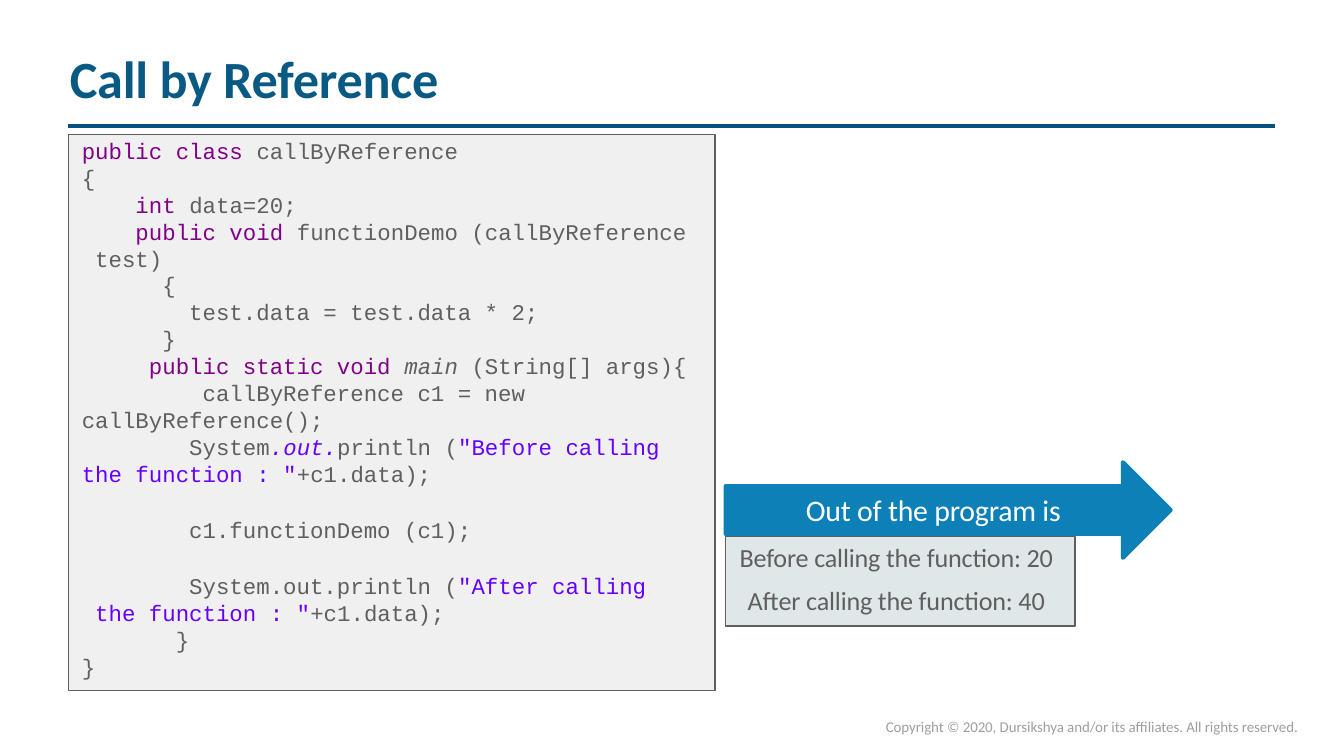
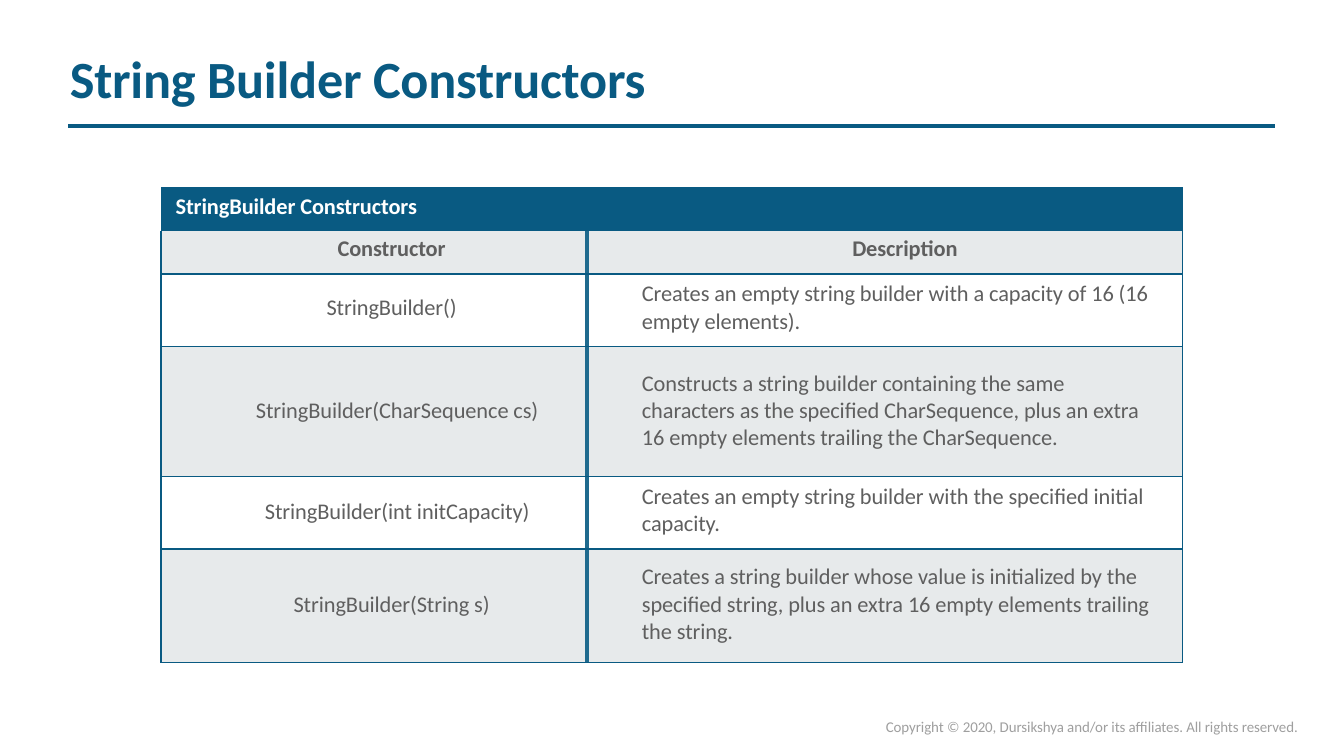
from copy import deepcopy

from lxml import etree
from pptx import Presentation
from pptx.dml.color import RGBColor
from pptx.enum import shapes, text
from pptx.oxml import ns
from pptx.util import Pt

NAVY = RGBColor(0x09, 0x5A, 0x82)
DEEP_NAVY = RGBColor(0x04, 0x51, 0x80)
DIVIDER = RGBColor(0x1F, 0x6A, 0x8E)
BLUE = RGBColor(0x0D, 0x80, 0xB8)
GRAY = RGBColor(0x5F, 0x5F, 0x5F)
FOOTER_GRAY = RGBColor(0x9F, 0x9F, 0x9F)
CODE_FILL = RGBColor(0xF0, 0xF0, 0xF0)
OUTPUT_FILL = RGBColor(0xDF, 0xE7, 0xE9)
BAND = RGBColor(0xE7, 0xEA, 0xEB)
WHITE = RGBColor(0xFF, 0xFF, 0xFF)
PURPLE = RGBColor(0x81, 0x00, 0x87)
VIOLET = RGBColor(0x66, 0x00, 0xFF)

CENTER = text.PP_ALIGN.CENTER
MIDDLE = text.MSO_ANCHOR.MIDDLE
NO_GRID = "{2D5ABB26-0587-4C30-8999-92F81FD0307C}"

COPYRIGHT = "Copyright © 2020, Dursikshya and/or its affiliates. All rights reserved."

KEYWORD = {"color": PURPLE}
STRING = {"color": VIOLET}
FIELD = {"color": VIOLET, "italic": True}
METHOD = {"italic": True}
PLAIN = {}

CODE = [
    [("public class ", KEYWORD), ("callByReference", PLAIN)],
    "{",
    [("    int ", KEYWORD), ("data=20;", PLAIN)],
    [("    public void ", KEYWORD), ("functionDemo (callByReference", PLAIN)],
    " test)",
    "      {",
    "        test.data = test.data * 2;",
    "      }",
    [("     public static void ", KEYWORD), ("main ", METHOD), ("(String[] args){", PLAIN)],
    "         callByReference c1 = new",
    "callByReference();",
    [("        System", PLAIN), (".out.", FIELD), ("println (", PLAIN),
     ('"Before calling', STRING)],
    [('the function : "', STRING), ("+c1.data);", PLAIN)],
    "",
    "        c1.functionDemo (c1);",
    "",
    [("        System.out.println (", PLAIN), ('"After calling', STRING)],
    [(' the function : "', STRING), ("+c1.data);", PLAIN)],
    "       }",
    "}",
]
ARROW_LABEL = "Out of the program is"
OUTPUT = ["Before calling the function: 20", "After calling the function: 40"]

TABLE_TITLE = "StringBuilder Constructors"
TABLE_HEADS = ["Constructor", "Description"]
CONSTRUCTORS = [
    {"name": "StringBuilder()", "inset": (19, 11),
     "about": "Creates an empty string builder with a capacity of 16 (16\nempty elements).",
     "about_top": 3.6, "height": 38.9},
    {"name": "StringBuilder(CharSequence cs)", "inset": (25, 27.4),
     "about": "Constructs a string builder containing the same\n"
              "characters as the specified CharSequence, plus an extra\n"
              "16 empty elements trailing the CharSequence.",
     "about_top": 12.7, "height": 69.8},
    {"name": "StringBuilder(int initCapacity)", "inset": (25, 11.6),
     "about": "Creates an empty string builder with the specified initial\ncapacity.",
     "about_top": 3.6, "height": 38.8},
    {"name": "StringBuilder(String s)", "inset": (19, 22.7),
     "about": "Creates a string builder whose value is initialized by the\n"
              "specified string, plus an extra 16 empty elements trailing\n"
              "the string.",
     "about_top": 7.9, "height": 61},
]
COLUMNS = [228.2, 319.2]
HEAD_HEIGHTS = [23.3, 23]


def write(holder, paragraphs, size, color, font="Calibri", bold=False, align=text.PP_ALIGN.LEFT,
          anchor=text.MSO_ANCHOR.TOP, inset=(0, 0, 0, 0), line=None, between=0, blank=0,
          tracking=-0.05, wrap=True):
    frame = holder.text_frame
    in_shape = hasattr(holder, "shape_type")
    edges = frame if in_shape else holder
    edges.margin_left, edges.margin_top, edges.margin_right, edges.margin_bottom = map(Pt, inset)
    edges.vertical_anchor = anchor
    if in_shape:
        frame.word_wrap = wrap
        frame.auto_size = text.MSO_AUTO_SIZE.NONE
    paragraph, gap = None, 0
    for content in paragraphs:
        if not content:
            gap = blank
            continue
        paragraph = frame.add_paragraph() if paragraph else frame.paragraphs[0]
        paragraph.alignment = align
        paragraph.space_before = Pt(gap)
        gap = between
        if line:
            paragraph.line_spacing = Pt(line)
        for words, style in [(content, PLAIN)] if isinstance(content, str) else content:
            for number, part in enumerate(words.split("\n")):
                if number:
                    paragraph.add_line_break()
                    paragraph._p[-1].append(deepcopy(run._r.rPr))
                run = paragraph.add_run()
                run.text = part
                run.font.name = font
                run.font.size = Pt(size)
                run.font.bold = bold
                run.font.italic = style.get("italic", False)
                run.font.color.rgb = style.get("color", color)
                run._r.get_or_add_rPr().set("spc", str(round(tracking * 100)))


def add_block(slide, kind, box, fill, line, width):
    block = slide.shapes.add_shape(kind, *map(Pt, box))
    block.shadow.inherit = False
    block.fill.solid()
    block.fill.fore_color.rgb = fill
    block.line.color.rgb = line
    block.line.width = Pt(width)
    return block


def add_slide(deck, heading, heading_width, rule_color):
    slide = deck.slides.add_slide(deck.slide_layouts[5])
    rule = slide.shapes.add_connector(shapes.MSO_CONNECTOR.STRAIGHT,
                                      Pt(36.7), Pt(67.5), Pt(683.3), Pt(67.5))
    rule.line.color.rgb = rule_color
    rule.line.width = Pt(2.28)
    etree.SubElement(rule._element.spPr, ns.qn("a:effectLst"))
    title = slide.shapes.title
    title.left, title.top, title.width, title.height = map(Pt, (36.7, 23.8, heading_width, 35.3))
    write(title, [heading], 28, NAVY, bold=True, inset=(0.7, 0.9, 0, 0), tracking=-0.1, wrap=False)
    footer = slide.shapes.add_textbox(Pt(473.8), Pt(385.2), Pt(231.1), Pt(10))
    write(footer, [COPYRIGHT], 8, FOOTER_GRAY, inset=(0.7, 0, 0, 0), line=8.7, wrap=False)
    return slide


def add_borders(cell, sides):
    properties = cell._tc.get_or_add_tcPr()
    for side, (color, width) in sides.items():
        edge = etree.SubElement(properties, ns.qn(f"a:ln{side}"), w=str(Pt(width)))
        fill = etree.SubElement(edge, ns.qn("a:solidFill"))
        etree.SubElement(fill, ns.qn("a:srgbClr"), val=str(color))


def fill_cell(cell, color):
    if color is None:
        cell.fill.background()
    else:
        cell.fill.solid()
        cell.fill.fore_color.rgb = color


def build_reference(deck):
    slide = add_slide(deck, "Call by Reference", 202.3, DEEP_NAVY)
    code = add_block(slide, shapes.MSO_SHAPE.RECTANGLE, (36.7, 72, 346.3, 298.1),
                     CODE_FILL, GRAY, 0.72)
    write(code, CODE, 12, GRAY, font="Courier New", inset=(7.2, 1.5, 0, 0),
          line=14.4, blank=15.8, tracking=0)
    output = add_block(slide, shapes.MSO_SHAPE.RECTANGLE, (388.8, 287.3, 187.2, 48.2),
                       OUTPUT_FILL, GRAY, 0.72)
    write(output, OUTPUT, 14, GRAY, align=CENTER, inset=(0, 2.5, 4.5, 0), between=6.6,
          tracking=-0.1)
    arrow = add_block(slide, shapes.MSO_SHAPE.RIGHT_ARROW, (388.8, 247.7, 238.3, 51.1),
                      BLUE, BLUE, 2.28)
    write(arrow, [ARROW_LABEL], 16, WHITE, align=CENTER, anchor=MIDDLE, inset=(0, 0, 3, 1),
          tracking=-0.1)


def build_constructors(deck):
    slide = add_slide(deck, "String Builder Constructors", 313.9, NAVY)
    heights = HEAD_HEIGHTS + [row["height"] for row in CONSTRUCTORS]
    frame = slide.shapes.add_table(len(heights), len(COLUMNS), Pt(86.2), Pt(100.4),
                                   Pt(sum(COLUMNS)), Pt(sum(heights)))
    grid = frame.table
    grid.first_row = grid.horz_banding = False
    grid._tbl.tblPr.find(ns.qn("a:tableStyleId")).text = NO_GRID
    for column, width in zip(grid.columns, COLUMNS):
        column.width = Pt(width)
    for row, height in zip(grid.rows, heights):
        row.height = Pt(height)

    banner = grid.cell(0, 0)
    banner.merge(grid.cell(0, 1))
    fill_cell(banner, NAVY)
    write(banner, [TABLE_TITLE], 12, WHITE, bold=True, inset=(7.9, 2.9, 0, 0))

    outer, middle = (NAVY, 0.75), (DIVIDER, 2.25)
    last = len(heights) - 1
    for number in range(1, len(heights)):
        for side in range(2):
            cell = grid.cell(number, side)
            borders = {"L": middle if side else outer, "R": outer if side else middle}
            if number > 1:
                borders["T"] = (NAVY, 1)
            borders["B"] = outer if number == last else (NAVY, 1)
            add_borders(cell, borders)
            fill_cell(cell, BAND if number % 2 else None)

    for side, (head, left) in enumerate(zip(TABLE_HEADS, (19, 21.6))):
        write(grid.cell(1, side), [head], 12, GRAY, bold=True, align=CENTER,
              inset=(left, 2.2, 0, 0))
    for number, row in enumerate(CONSTRUCTORS, start=2):
        write(grid.cell(number, 0), [row["name"]], 12, GRAY, align=CENTER,
              inset=(*row["inset"], 0, 0))
        write(grid.cell(number, 1), [row["about"]], 12, GRAY,
              inset=(29.5, row["about_top"], 0, 0))


def main():
    deck = Presentation()
    deck.slide_width, deck.slide_height = Pt(720), Pt(405)
    build_reference(deck)
    build_constructors(deck)
    deck.save("out.pptx")


if __name__ == "__main__":
    main()
